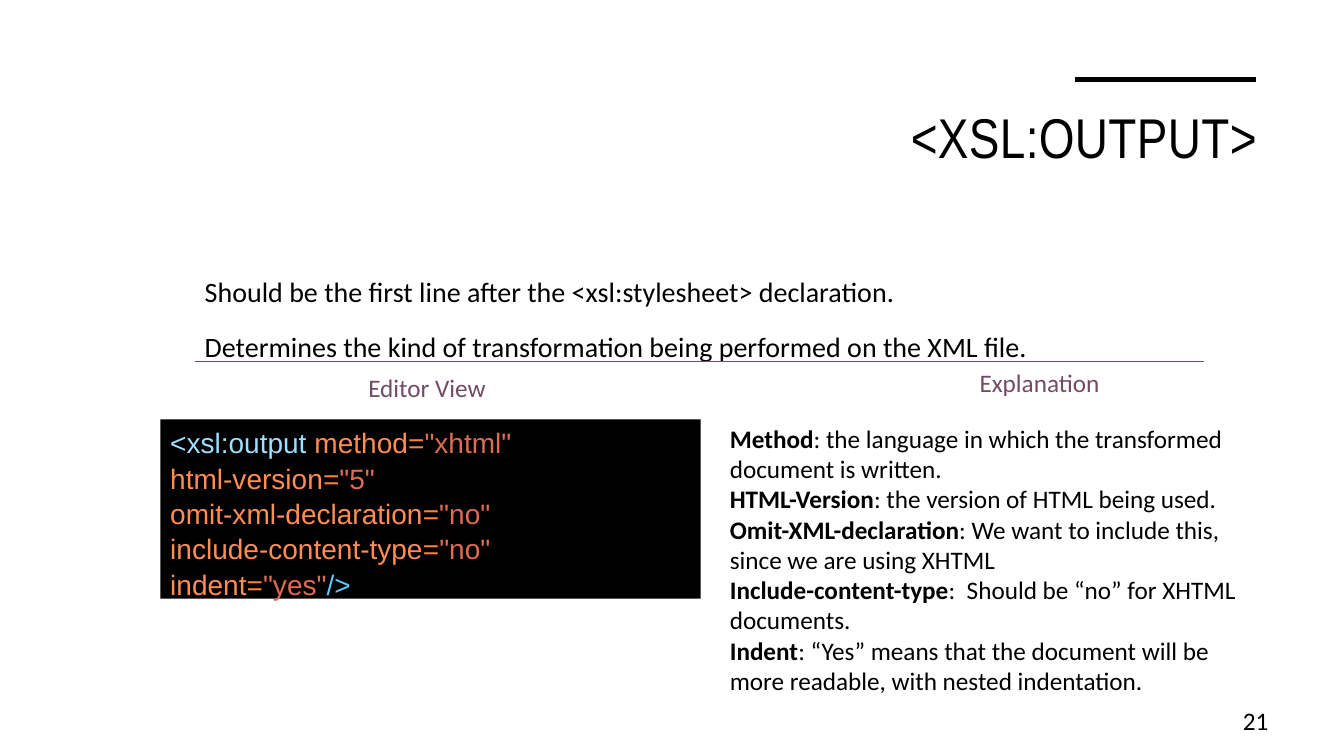
from collections import namedtuple
from dataclasses import dataclass

from lxml.etree import SubElement as Sub
from pptx import Presentation as Deck
from pptx.dml.color import RGBColor as Rgb
from pptx.enum.shapes import MSO_CONNECTOR as Link, MSO_SHAPE as Form
from pptx.enum.text import MSO_ANCHOR as Anchor, MSO_AUTO_SIZE as Fit, PP_ALIGN as Align
from pptx.oxml.ns import qn
from pptx.util import Pt

PX = 9144
Box = namedtuple("Box", "x y w h")


@dataclass(frozen=True)
class Theme:
    ink: str = "000000"
    plum: str = "734B67"
    tag: str = "9EDEFF"
    attr: str = "FF8D54"
    sign: str = "FF8040"
    value: str = "E06A53"
    close: str = "5FC8FD"
    head: str = "Arial Narrow"
    body: str = "Calibri"
    code: str = "Arial"
    big: int = 40
    mid: int = 20
    small: int = 18


T = Theme()


def emu(box):
    return [n * PX for n in box]


def place(shape, box):
    shape.left, shape.top, shape.width, shape.height = emu(box)
    return shape


def write(shape, paras, font=T.body, size=T.small, color=T.ink, align=Align.LEFT,
          anchor=Anchor.TOP, line=None, gap=0, track=None, plain=False):
    frame = shape.text_frame
    frame.word_wrap = True
    frame.auto_size = Fit.NONE
    frame.vertical_anchor = anchor
    for i, runs in enumerate(paras):
        para = frame.add_paragraph() if i else frame.paragraphs[0]
        if plain:
            props = para._p.get_or_add_pPr()
            props.set("marL", "0")
            props.set("indent", "0")
            Sub(props, qn("a:buNone"))
        para.alignment = align
        para.line_spacing = line
        para.space_before = Pt(gap if i else 0)
        for text, hue, bold in runs:
            run = para.add_run()
            run.text = text
            run.font.name = font
            run.font.size = Pt(size)
            run.font.bold = bold
            run.font.color.rgb = Rgb.from_string(hue or color)
            if track:
                run._r.get_or_add_rPr().set("spc", str(track))


def plain(text):
    return [(text, None, False)]


def label(slide, box, text, **style):
    write(slide.shapes.add_textbox(*emu(box)), [plain(text)], **style)


def rule(slide, x, y, w, color, width):
    line = slide.shapes.add_connector(Link.STRAIGHT, *emu((x, y, x + w, y)))
    line.line.color.rgb = Rgb.from_string(color)
    line.line.width = Pt(width)
    Sub(line._element.spPr, qn("a:effectLst"))


def header(slide, box, text):
    rule(slide, box.x + box.w - 191, box.y - 18, 180, T.ink, 3.5)
    write(place(slide.shapes.title, box), [plain(text)], font=T.head,
          size=T.big, align=Align.RIGHT, track=30)


def intro(slide, box, lines):
    write(place(slide.placeholders[1], box), [plain(s) for s in lines],
          size=T.mid, line=1.2, gap=10, plain=True)


def code(slide, box, rows):
    panel = slide.shapes.add_shape(Form.RECTANGLE, *emu(box))
    panel.shadow.inherit = False
    panel.fill.solid()
    panel.fill.fore_color.rgb = Rgb.from_string(T.ink)
    panel.line.fill.background()
    paras = [[(start, T.tag, False), (name, T.attr, False), ("=", T.sign, False),
              (f'"{value}"', T.value, False), (end, T.close, False)]
             for start, name, value, end in rows]
    paras = [[run for run in runs if run[0]] for runs in paras]
    write(panel, paras, font=T.code, size=T.mid, line=1.05)


def notes(slide, box, terms):
    paras = [[(term, None, True), (text, None, False)] for term, text in terms]
    write(slide.shapes.add_textbox(*emu(box)), paras)


def compare(slide, box, rows, terms):
    rule(slide, box.x + 34, box.y, 1001, T.plum, 0.5)
    style = dict(color=T.plum, align=Align.CENTER)
    label(slide, Box(box.x + 34, box.y + 5, 461, 40), "Editor View", **style)
    label(slide, Box(box.x + 635, box.y, 474, 40), "Explanation", **style)
    code(slide, Box(box.x, box.y + 57, 536, 178), rows)
    notes(slide, Box(box.x + 555, box.y + 56, 553, 313), terms)


def main():
    deck = Deck()
    deck.slide_width, deck.slide_height = emu((1333, 750))
    slide = deck.slides.add_slide(deck.slide_layouts[1])
    header(slide, Box(76, 97, 1181, 115), "<XSL:OUTPUT>")
    intro(slide, Box(193, 261, 947, 115), [
        "Should be the first line after the <xsl:stylesheet> declaration.",
        "Determines the kind of transformation being performed on the XML file.",
    ])
    rows = [
        ("<xsl:output", " method", "xhtml", ""),
        ("", "html-version", "5", ""),
        ("", "omit-xml-declaration", "no", ""),
        ("", "include-content-type", "no", ""),
        ("", "indent", "yes", "/>"),
    ]
    terms = [
        ("Method", ": the language in which the transformed document is written."),
        ("HTML-Version", ": the version of HTML being used."),
        ("Omit-XML-declaration", ": We want to include this, since we are using XHTML"),
        ("Include-content-type", ":  Should be “no” for XHTML documents."),
        ("Indent", ": “Yes” means that the document will be more readable, "
                   "with nested indentation."),
    ]
    compare(slide, Box(159, 359, 1109, 369), rows, terms)
    label(slide, Box(1194, 695, 74, 40), "21", align=Align.RIGHT, anchor=Anchor.MIDDLE)
    deck.save("out.pptx")


if __name__ == "__main__":
    main()
